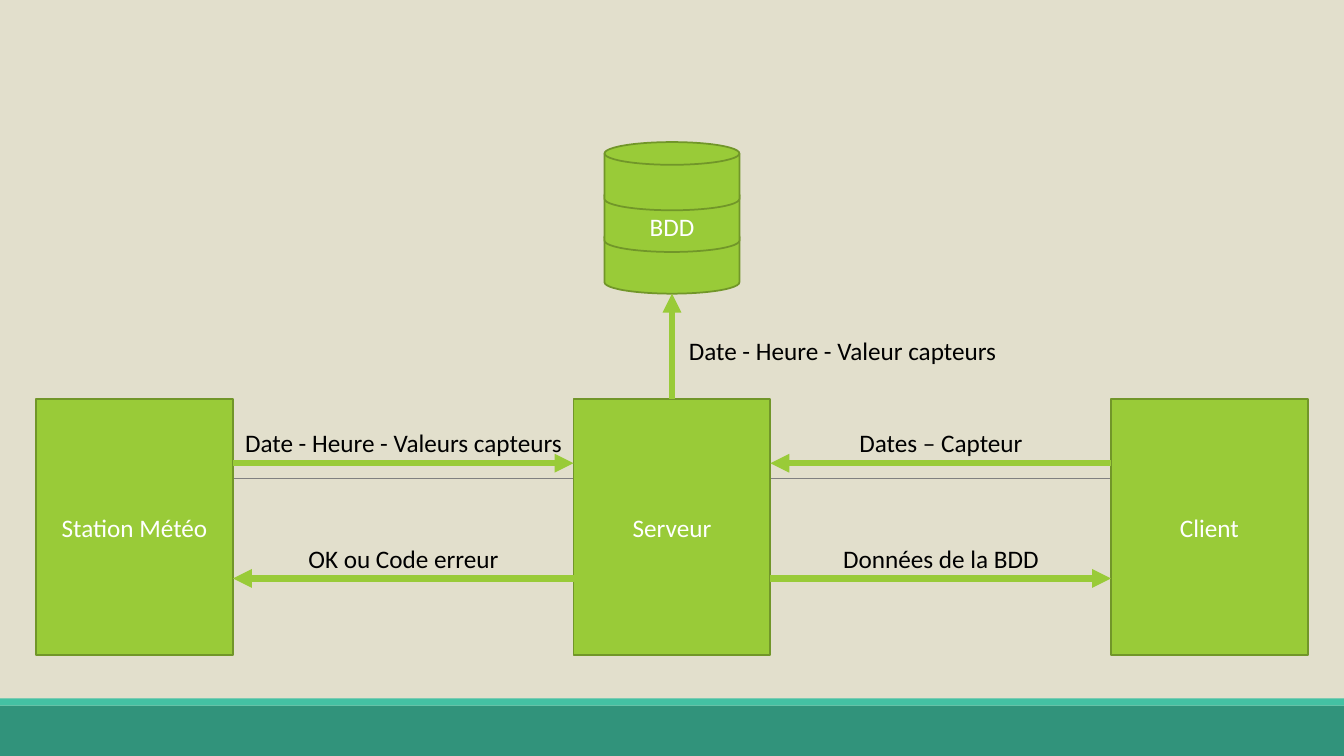
from dataclasses import dataclass

from lxml.etree import SubElement
from pptx import Presentation
from pptx.dml.color import RGBColor
from pptx.enum.shapes import MSO_CONNECTOR, MSO_SHAPE
from pptx.enum.text import MSO_ANCHOR, PP_ALIGN
from pptx.oxml.ns import qn
from pptx.util import Cm, Pt


@dataclass(frozen=True)
class Theme:
    """Colours, type and line widths of the slide."""
    background: str = "E2DFCC"
    band: str = "31937B"
    stripe: str = "44C1A3"
    rule: str = "808080"
    node: str = "99CB38"
    edge: str = "719629"
    light: str = "FFFFFF"
    dark: str = "000000"
    font: str = "Calibri"
    size: float = 18
    edge_width: float = 1.25
    rule_width: float = 0.5
    arrow_width: float = 4.5


THEME = Theme()
WIDTH, HEIGHT = 33.87, 19.05
LABEL_HEIGHT = 1.02
LABEL_WIDTH = 8.6


def write(sp, text, color, anchor=MSO_ANCHOR.MIDDLE):
    """Write one centred line of text in a shape."""
    tf = sp.text_frame
    tf.word_wrap = True
    tf.vertical_anchor = anchor
    p = tf.paragraphs[0]
    p.alignment = PP_ALIGN.CENTER
    r = p.add_run()
    r.text = text
    r.font.color.rgb = RGBColor.from_string(color)
    for name, value in {"name": THEME.font, "size": Pt(THEME.size)}.items():
        setattr(r.font, name, value)


def add_block(shapes, kind, box, fill, edge=None):
    """Add a filled preset shape, outlined if an edge colour is given."""
    sp = shapes.add_shape(kind, *map(Cm, box))
    sp.shadow.inherit = False
    sp.fill.solid()
    sp.fill.fore_color.rgb = RGBColor.from_string(fill)
    if edge:
        sp.line.color.rgb = RGBColor.from_string(edge)
        sp.line.width = Pt(THEME.edge_width)
    else:
        sp.line.fill.background()
    return sp


def add_line(shapes, start, end, color, width, arrow=False):
    """Add a straight line, with an arrowhead at its end if asked."""
    line = shapes.add_connector(MSO_CONNECTOR.STRAIGHT, *map(Cm, (*start, *end)))
    line.line.color.rgb = RGBColor.from_string(color)
    line.line.width = Pt(width)
    if arrow:
        SubElement(line.line._get_or_add_ln(), qn("a:tailEnd"), type="triangle")
    SubElement(line._element.spPr, qn("a:effectLst"))


def add_label(shapes, left, top, text):
    """Add a message label."""
    sp = shapes.add_textbox(*map(Cm, (left, top, LABEL_WIDTH, LABEL_HEIGHT)))
    write(sp, text, THEME.dark, MSO_ANCHOR.TOP)


def add_footer(shapes, left, top, width, height):
    """Draw the footer band under its thin stripe."""
    stripe = 0.18
    add_block(shapes, MSO_SHAPE.RECTANGLE, (left, top + stripe, width, height - stripe), THEME.band)
    add_block(shapes, MSO_SHAPE.RECTANGLE, (left, top, width, stripe), THEME.stripe)


def add_database(shapes, left, top, width, height):
    """Stack three disks, lowest first, with the name on the middle one."""
    disk = height * 0.45
    step = (height - disk) / 2
    group = shapes.add_group_shape()
    for level, text in ((2, ""), (1, "BDD"), (0, "")):
        box = (left, top + level * step, width, disk)
        sp = add_block(group.shapes, MSO_SHAPE.FLOWCHART_MAGNETIC_DISK, box, THEME.node, THEME.edge)
        if text:
            write(sp, text, THEME.light, MSO_ANCHOR.TOP)


def add_exchange(shapes, left, top, width, height, messages):
    """Draw labelled arrows across a gap, each with its height and direction."""
    for text, share, rightward in messages:
        y = top + share * height
        ends = [(left, y), (left + width, y)]
        start, end = ends if rightward else reversed(ends)
        add_line(shapes, start, end, THEME.node, THEME.arrow_width, arrow=True)
        add_label(shapes, left, y - LABEL_HEIGHT, text)


def add_network(shapes, left, top, width, height):
    """Draw three equally spaced nodes and the exchanges between them."""
    node_width = 4.96
    step = (width - node_width) / 2
    for i, name in enumerate(("Station Météo", "Serveur", "Client")):
        box = (left + i * step, top, node_width, height)
        write(add_block(shapes, MSO_SHAPE.RECTANGLE, box, THEME.node, THEME.edge), name, THEME.light)
    upper, lower = 0.25, 0.7
    exchanges = (
        (("Date - Heure - Valeurs capteurs", upper, True), ("OK ou Code erreur", lower, False)),
        (("Dates – Capteur", upper, False), ("Données de la BDD", lower, True)),
    )
    for i, messages in enumerate(exchanges):
        add_exchange(shapes, left + i * step + node_width, top, step - node_width, height, messages)


def add_storage(shapes, center, top, bottom):
    """Draw the labelled arrow from the server up to the database."""
    add_line(shapes, (center, bottom), (center, top), THEME.node, THEME.arrow_width, arrow=True)
    add_label(shapes, center, (top + bottom - LABEL_HEIGHT) / 2 + 0.1, "Date - Heure - Valeur capteurs")


def build_slide(prs):
    """Compose the architecture slide."""
    s = prs.slides.add_slide(prs.slide_layouts[6])
    s.background.fill.solid()
    s.background.fill.fore_color.rgb = RGBColor.from_string(THEME.background)
    center, nodes_top = WIDTH / 2, 10.06
    disk_top, disk_width, disk_height = 3.58, 3.4, 3.82
    add_footer(s.shapes, 0, 17.6, WIDTH, HEIGHT - 17.6)
    add_line(s.shapes, (3.35, 12.06), (30.78, 12.06), THEME.rule, THEME.rule_width)
    add_network(s.shapes, 0.91, nodes_top, WIDTH - 2 * 0.91, 6.45)
    add_database(s.shapes, center - disk_width / 2, disk_top, disk_width, disk_height)
    add_storage(s.shapes, center, disk_top + disk_height, nodes_top)


prs = Presentation()
prs.slide_width, prs.slide_height = Cm(WIDTH), Cm(HEIGHT)
build_slide(prs)
prs.save("out.pptx")
